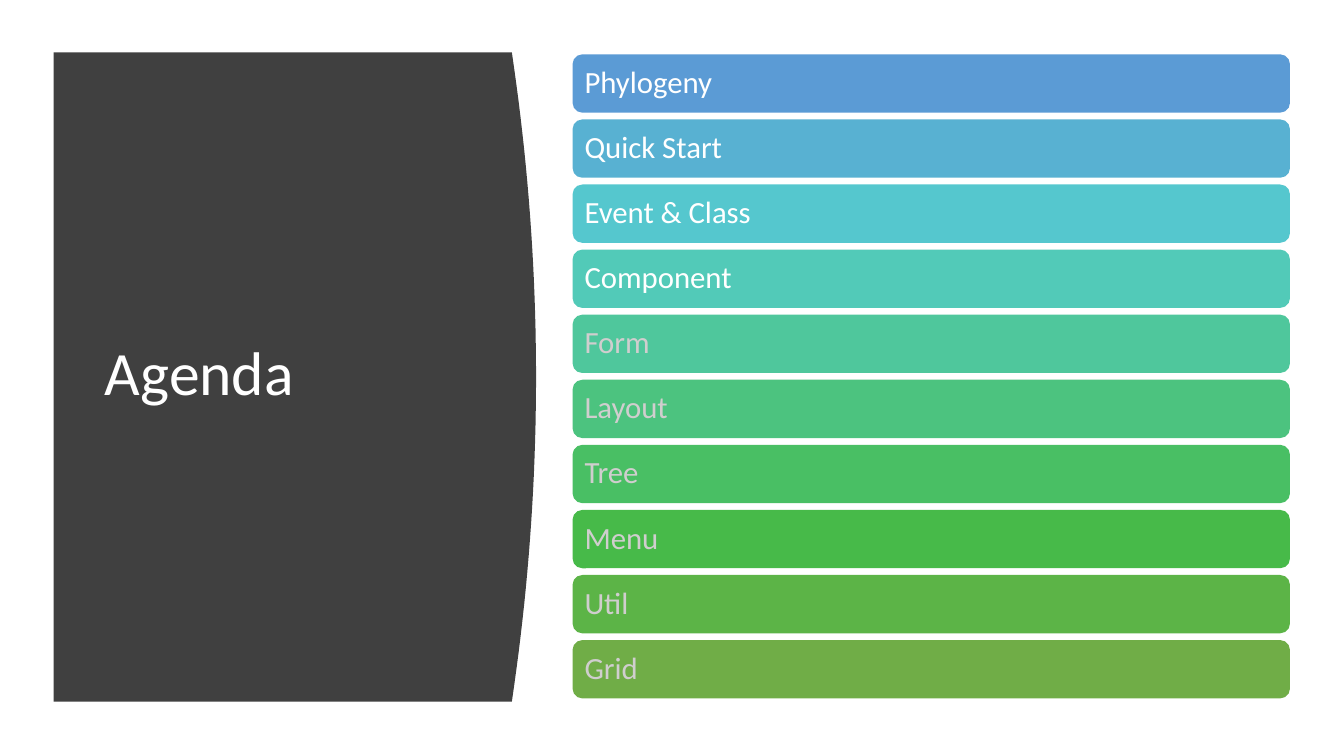
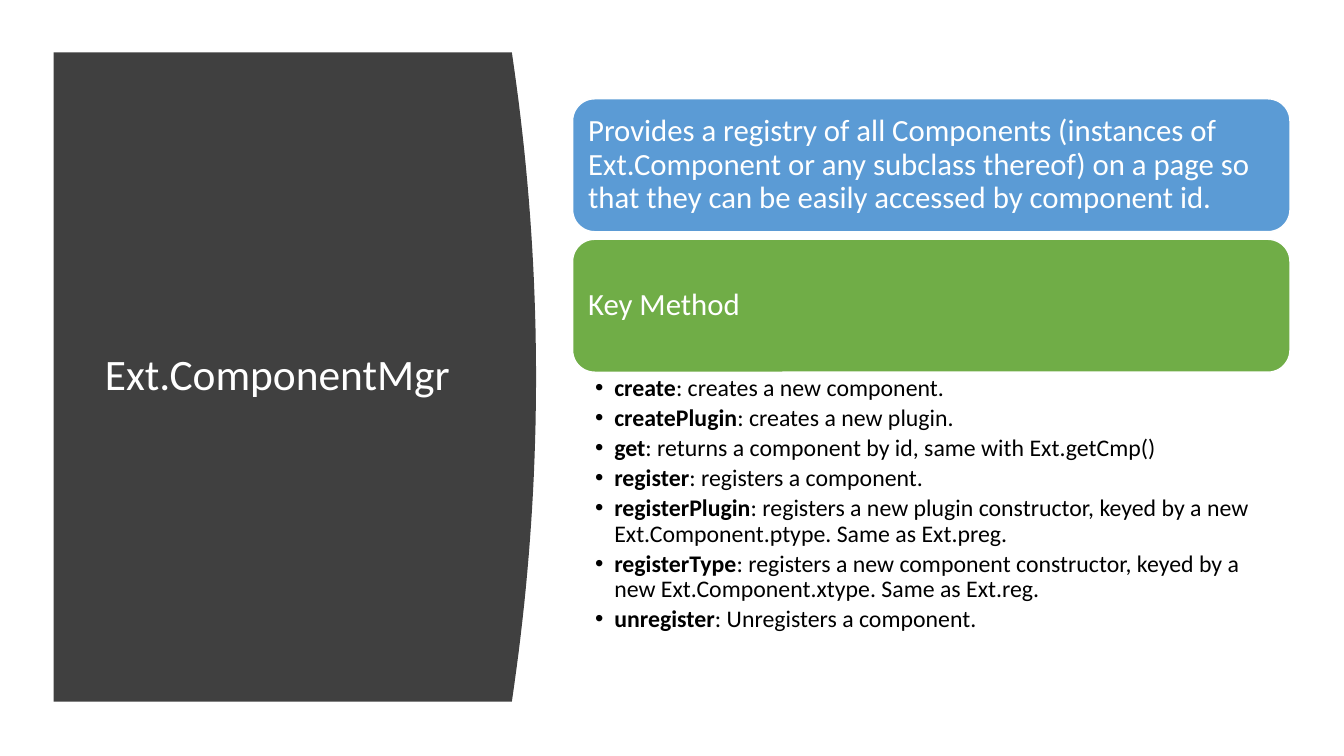
"""Build two slides with a curved title panel: an agenda and a component manager summary."""
import pptx
import pptx.dml.color
import pptx.enum.shapes
import pptx.enum.text
import pptx.util

Cm = pptx.util.Cm
Pt = pptx.util.Pt
FONT = "Calibri"
COLORS = {
    "panel": "404040",
    "white": "FFFFFF",
    "black": "000000",
    "muted": "D0CECE",
    "blue": "5B9BD5",
    "sky": "58B1D2",
    "cyan": "55C7CE",
    "turquoise": "52CAB8",
    "jade": "4FC79C",
    "mint": "4CC37F",
    "emerald": "49BF64",
    "grass": "47BA49",
    "leaf": "5CB447",
    "green": "70AD47",
}
RGB = {name: pptx.dml.color.RGBColor.from_string(code) for name, code in COLORS.items()}
PANEL_LEFT, PANEL_TOP, PANEL_EDGE = 1.35, 1.32, 12.9
PANEL_HEIGHT, PANEL_BULGE, CURVE_STEPS = 16.36, 0.61, 40
BAND_LEFT, BAND_WIDTH = 14.43, 18.08

deck = pptx.Presentation()
deck.slide_width, deck.slide_height = Cm(33.87), Cm(19.05)


def add_page(layout_name, heading, size):
    page = deck.slides.add_slide(deck.slide_layouts.get_by_name(layout_name))
    outline = page.shapes.build_freeform(Cm(PANEL_LEFT), Cm(PANEL_TOP))
    curve = []
    for step in range(CURVE_STEPS + 1):
        share = step / CURVE_STEPS
        bulge = PANEL_BULGE * 4 * share * (1 - share)
        curve.append((Cm(PANEL_EDGE + bulge), Cm(PANEL_TOP + PANEL_HEIGHT * share)))
    outline.add_line_segments(curve + [(Cm(PANEL_LEFT), Cm(PANEL_TOP + PANEL_HEIGHT))])
    panel = outline.convert_to_shape()
    panel.shadow.inherit = False
    panel.fill.solid()
    panel.fill.fore_color.rgb = RGB["panel"]
    panel.line.fill.background()

    title = page.shapes.title
    title.element.addprevious(panel.element)
    title.left, title.top, title.width, title.height = Cm(2.39), Cm(2.82), Cm(9.5), Cm(13.31)
    title.text_frame.text = heading
    title.text_frame.word_wrap = True
    title.text_frame.auto_size = pptx.enum.text.MSO_AUTO_SIZE.NONE
    title.text_frame.vertical_anchor = pptx.enum.text.MSO_ANCHOR.MIDDLE
    para = title.text_frame.paragraphs[0]
    para.alignment = pptx.enum.text.PP_ALIGN.LEFT
    para.line_spacing = 0.9
    para.font.name, para.font.size = FONT, Pt(size)
    para.font.color.rgb = RGB["white"]
    return page


def add_band(page, top, height, text, fill, color="white"):
    band = page.shapes.add_shape(
        pptx.enum.shapes.MSO_SHAPE.ROUNDED_RECTANGLE,
        Cm(BAND_LEFT), Cm(top), Cm(BAND_WIDTH), Cm(height))
    band.shadow.inherit = False
    band.fill.solid()
    band.fill.fore_color.rgb = RGB[fill]
    band.line.fill.background()
    frame = band.text_frame
    frame.word_wrap = True
    frame.vertical_anchor = pptx.enum.text.MSO_ANCHOR.MIDDLE
    frame.margin_left = frame.margin_right = frame.margin_top = frame.margin_bottom = Cm(0.23)
    frame.text = text
    para = frame.paragraphs[0]
    para.alignment = pptx.enum.text.PP_ALIGN.LEFT
    para.line_spacing = 0.9
    para.font.name, para.font.size = FONT, Pt(22)
    para.font.color.rgb = RGB[color]
    return band


agenda_page = add_page("Title Only", "Agenda", 44)
topics = [
    ("Phylogeny", "blue", "white"),
    ("Quick Start", "sky", "white"),
    ("Event & Class", "cyan", "white"),
    ("Component", "turquoise", "white"),
    ("Form", "jade", "muted"),
    ("Layout", "mint", "muted"),
    ("Tree", "emerald", "muted"),
    ("Menu", "grass", "muted"),
    ("Util", "leaf", "muted"),
    ("Grid", "green", "muted"),
]
for row, (topic, fill, color) in enumerate(topics):
    add_band(agenda_page, 1.37 + 1.64 * row, 1.47, topic, fill, color)

manager_page = add_page("Title and Content", "Ext.ComponentMgr", 31)
summaries = [
    ("Provides a registry of all Components (instances of Ext.Component or any subclass "
     "thereof) on a page so that they can be easily accessed by component id.", "blue"),
    ("Key Method", "green"),
]
for row, (summary, fill) in enumerate(summaries):
    band = add_band(manager_page, 2.49 + 3.54 * row, 3.35, summary, fill)
    band.line.color.rgb = RGB["white"]
    band.line.width = Pt(1)

methods = [
    ("create", "creates a new component."),
    ("createPlugin", "creates a new plugin."),
    ("get", "returns a component by id, same with Ext.getCmp()"),
    ("register", "registers a component."),
    ("registerPlugin", "registers a new plugin constructor, keyed by a new "
     "Ext.Component.ptype. Same as Ext.preg."),
    ("registerType", "registers a new component constructor, keyed by a new "
     "Ext.Component.xtype. Same as Ext.reg."),
    ("unregister", "Unregisters a component."),
]
body = manager_page.placeholders[1]
body.left, body.top, body.width, body.height = Cm(BAND_LEFT), Cm(9.4), Cm(BAND_WIDTH), Cm(7.09)
frame = body.text_frame
frame.word_wrap = True
frame.auto_size = pptx.enum.text.MSO_AUTO_SIZE.NONE
frame.vertical_anchor = pptx.enum.text.MSO_ANCHOR.TOP
frame.margin_left, frame.margin_right = Cm(0.57), Cm(0.43)
frame.margin_top = frame.margin_bottom = Cm(0.08)
for row, (method, purpose) in enumerate(methods):
    para = frame.add_paragraph() if row else frame.paragraphs[0]
    properties = para._p.get_or_add_pPr()
    properties.set("marL", str(Cm(0.48)))
    properties.set("indent", str(-Cm(0.48)))
    para.line_spacing = 0.9
    para.space_before, para.space_after = Pt(0), Pt(3)
    para.font.name, para.font.size = FONT, Pt(17)
    para.font.color.rgb = RGB["black"]
    span = para.add_run()
    span.text = method
    span.font.bold = True
    para.add_run().text = f": {purpose}"

deck.save("out.pptx")
